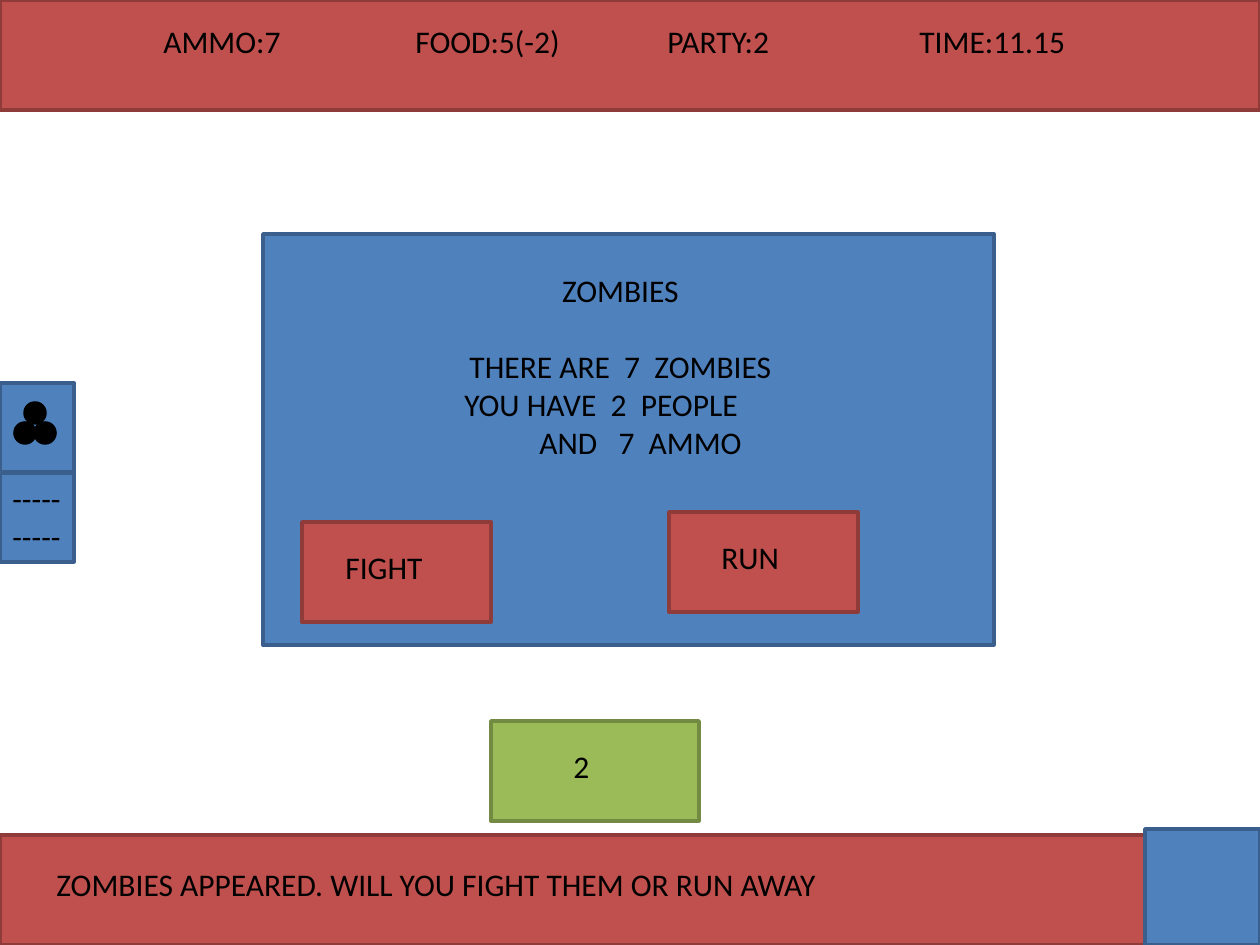
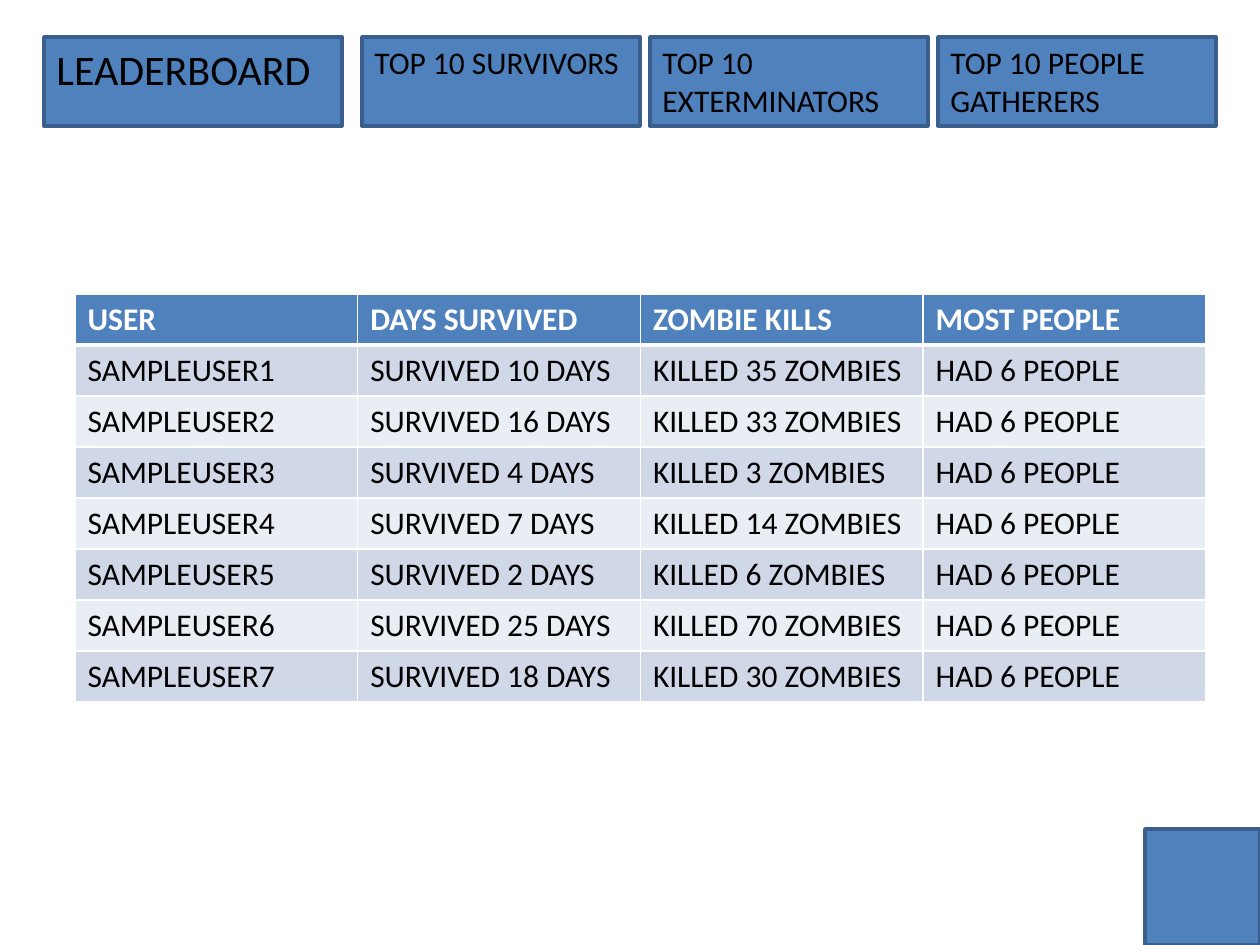
from lxml import etree
from pptx import Presentation
from pptx.dml.color import RGBColor
from pptx.enum.shapes import MSO_SHAPE
from pptx.enum.text import MSO_ANCHOR, PP_ALIGN
from pptx.oxml.ns import qn
from pptx.util import Emu, Pt

RECTANGLE = MSO_SHAPE.RECTANGLE
OVAL = MSO_SHAPE.OVAL
LEFT, CENTER = PP_ALIGN.LEFT, PP_ALIGN.CENTER
TOP = MSO_ANCHOR.TOP

PIXEL = 914400 // 126
WIDTH, HEIGHT = 1260, 945
BAR_HEIGHT = 110
FONT = "Calibri"
BODY_SIZE = 18

COLOURS = {
    "red": "C0504D", "red_edge": "8E3B39",
    "blue": "4F81BD", "blue_edge": "3A5F8C",
    "green": "9BBB59", "green_edge": "738A42",
    "black": "000000", "black_edge": "000000",
    "white": "FFFFFF", "band_dark": "D0D8E8", "band_light": "E9EDF4",
}


def px(value):
    return Emu(value * PIXEL)


def colour(name):
    return RGBColor.from_string(COLOURS[name])


def style_text(frame, size=BODY_SIZE, name="black", bold=False):
    for para in frame.paragraphs:
        for span in para.runs:
            span.font.name = FONT
            span.font.size = Pt(size)
            span.font.bold = bold
            span.font.color.rgb = colour(name)


def add_box(page, left, top, width, height, name, kind=RECTANGLE):
    box = page.shapes.add_shape(kind, px(left), px(top), px(width), px(height))
    box.shadow.inherit = False
    box.fill.solid()
    box.fill.fore_color.rgb = colour(name)
    box.line.color.rgb = colour(name + "_edge")
    box.line.width = Pt(2)
    return box


def add_text(page, left, top, width, height, text):
    box = page.shapes.add_textbox(px(left), px(top), px(width), px(height))
    frame = box.text_frame
    frame.word_wrap = True
    frame.text = text
    style_text(frame)
    return frame


def add_tab(page, left, width, text, size=BODY_SIZE):
    box = add_box(page, left, 37, width, 89, "blue")
    frame = box.text_frame
    frame.word_wrap = True
    frame.vertical_anchor = TOP
    frame.text = text
    frame.paragraphs[0].alignment = LEFT
    style_text(frame, size)


def add_button(page, left, top, text, inset):
    add_box(page, left, top, 189, 100, "red")
    add_text(page, left + inset, top + 20, 118, 50, text)


def add_corner(page):
    add_box(page, 1145, 829, 115, 116, "blue")


def set_tab_stops(para, inches):
    stops = etree.SubElement(para._p.get_or_add_pPr(), qn("a:tabLst"))
    for inch in inches:
        etree.SubElement(stops, qn("a:tab"), pos=str(inch * 914400), algn="l")


def set_borders(cell, bottom):
    properties = cell._tc.get_or_add_tcPr()
    widths = {"a:lnL": 1, "a:lnR": 1, "a:lnT": 1, "a:lnB": bottom}
    for position, (tag, width) in enumerate(widths.items()):
        line = etree.Element(qn(tag), w=str(Pt(width)))
        fill = etree.SubElement(line, qn("a:solidFill"))
        etree.SubElement(fill, qn("a:srgbClr"), val=COLOURS["white"])
        properties.insert(position, line)


def add_scores(page, left, top, width, row_height, rows):
    table = page.shapes.add_table(
        len(rows), len(rows[0]), px(left), px(top), px(width), px(row_height * len(rows))
    ).table
    for row, values in enumerate(rows):
        header = row == 0
        fill = "blue" if header else ("band_light", "band_dark")[row % 2]
        for column, value in enumerate(values):
            cell = table.cell(row, column)
            cell.text = value
            cell.fill.solid()
            cell.fill.fore_color.rgb = colour(fill)
            style_text(cell.text_frame, name="white" if header else "black", bold=header)
            set_borders(cell, 3 if header else 1)


def add_encounter(page):
    add_box(page, 263, 234, 731, 411, "blue")
    message = add_text(
        page, 323, 265, 595, 204,
        "ZOMBIES\nTHERE ARE  7  ZOMBIES\nYOU HAVE  2  PEOPLE\nAND   7  AMMO",
    )
    title, enemies, people, ammo = message.paragraphs
    title.alignment = enemies.alignment = CENTER
    enemies.space_before = Pt(21.7)
    for para, indent in ((people, 129), (ammo, 204)):
        para.alignment = LEFT
        para._p.get_or_add_pPr().set("marL", str(px(indent)))
    add_button(page, 302, 522, "FIGHT", 31)
    add_button(page, 669, 512, "RUN", 40)


def add_side_cards(page):
    for top in (473, 383):
        add_box(page, 0, top, 74, 89, "blue")
    for left, top in ((25, 403), (35, 423), (15, 423)):
        add_box(page, left, top, 20, 20, "black", OVAL)
    add_text(page, 0, 473, 100, 89, "-----\n-----")


def build_fight(page):
    add_box(page, 0, 0, WIDTH, BAR_HEIGHT, "red")
    status = add_text(page, 25, 16, 1211, 50, "\tAMMO:7\tFOOD:5(-2)\tPARTY:2\tTIME:11.15")
    set_tab_stops(status.paragraphs[0], range(1, 8, 2))
    add_encounter(page)
    add_side_cards(page)
    add_box(page, 491, 721, 208, 100, "green")
    add_text(page, 561, 741, 59, 50, "2")
    add_box(page, 0, HEIGHT - BAR_HEIGHT, WIDTH, BAR_HEIGHT, "red")
    add_text(page, 44, 859, 843, 50, "ZOMBIES APPEARED. WILL YOU FIGHT THEM OR RUN AWAY")
    add_corner(page)


def build_leaderboard(page):
    add_tab(page, 44, 298, "LEADERBOARD", 24)
    for index, group in enumerate(("SURVIVORS", "EXTERMINATORS", "PEOPLE GATHERERS")):
        add_tab(page, 362 + 288 * index, 278, "TOP 10 " + group)
    results = ((10, 35), (16, 33), (4, 3), (7, 14), (2, 6), (25, 70), (18, 30))
    rows = [("USER", "DAYS SURVIVED", "ZOMBIE KILLS", "MOST PEOPLE")]
    for number, (days, kills) in enumerate(results, 1):
        rows.append((
            f"SAMPLEUSER{number}", f"SURVIVED {days} DAYS",
            f"KILLED {kills} ZOMBIES", "HAD 6 PEOPLE",
        ))
    add_scores(page, 75, 294, 1131, 51, rows)
    add_corner(page)


def main():
    deck = Presentation()
    deck.slide_width, deck.slide_height = px(WIDTH), px(HEIGHT)
    blank = deck.slide_layouts[6]
    for build in (build_fight, build_leaderboard):
        build(deck.slides.add_slide(blank))
    deck.save("out.pptx")


main()
